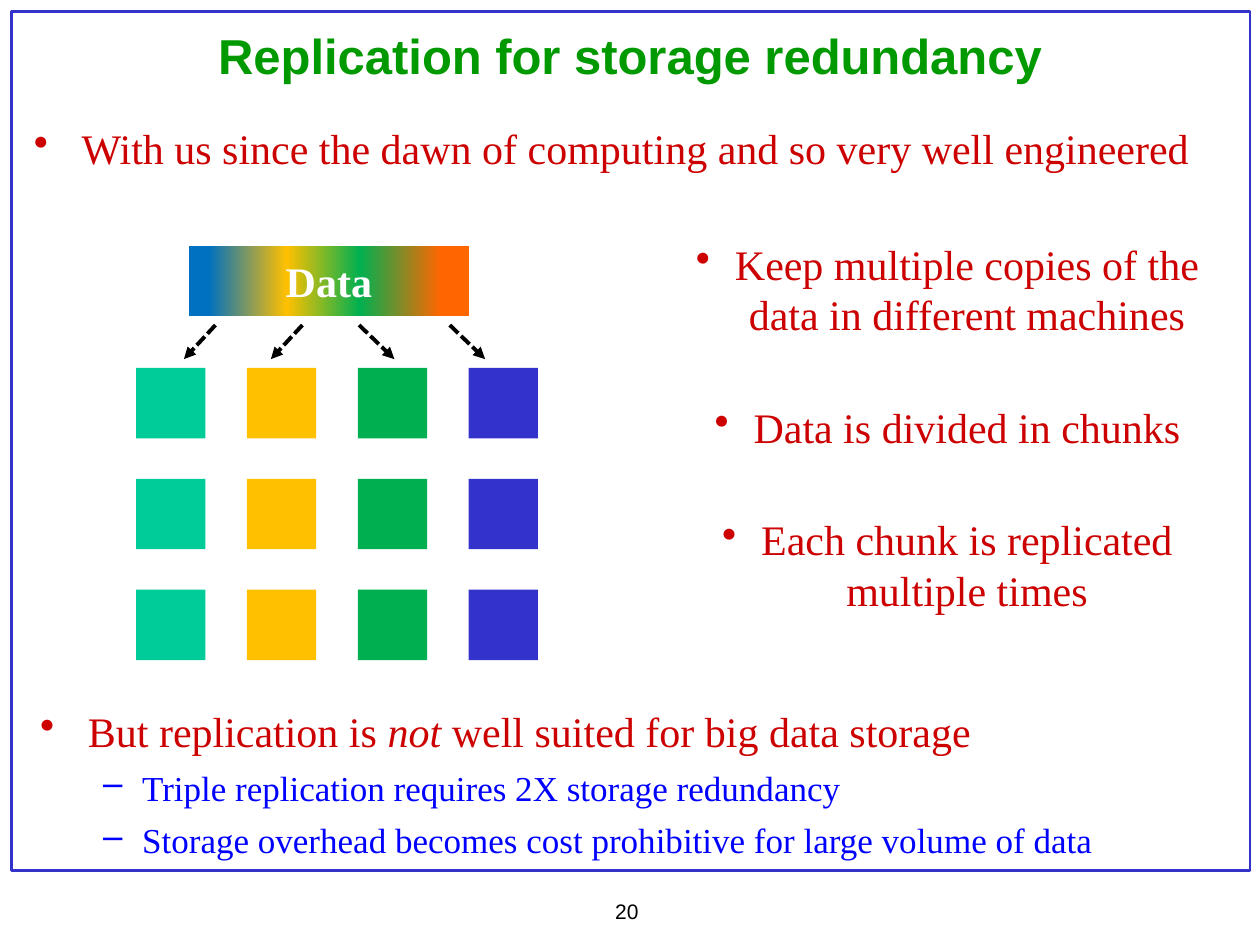
from lxml import etree
from pptx import Presentation
from pptx.dml.color import RGBColor
from pptx.enum.dml import MSO_LINE
from pptx.enum.shapes import MSO_CONNECTOR, MSO_SHAPE
from pptx.enum.text import MSO_ANCHOR, PP_ALIGN
from pptx.oxml.ns import qn
from pptx.util import Inches, Pt

RECT, STRAIGHT, DASH = MSO_SHAPE.RECTANGLE, MSO_CONNECTOR.STRAIGHT, MSO_LINE.SQUARE_DOT
LEFT, CENTER, MIDDLE = PP_ALIGN.LEFT, PP_ALIGN.CENTER, MSO_ANCHOR.MIDDLE

COLORS = {
    "frame": "3333CC", "title": "009900", "point": "CC0000", "detail": "0000FF",
    "black": "000000", "white": "FFFFFF",
}
STYLES = {
    "title": {"name": "Arial", "size": Pt(28), "bold": True},
    "number": {"name": "Arial", "size": Pt(12)},
    "point": {"name": "Times New Roman", "size": Pt(24)},
    "detail": {"name": "Times New Roman", "size": Pt(20)},
    "data": {"name": "Times New Roman", "size": Pt(24), "bold": True},
}
STYLE_COLORS = {"title": "title", "number": "black", "point": "point",
                "detail": "detail", "data": "white"}
# bullet sign, text indent, hanging width
MAIN, SUB, SIDE = ("•", 0.38, 0.38), ("–", 0.81, 0.31), ("•", 0.31, 0.31)

# box, then paragraphs: runs (text, italic), style, alignment, bullet
TEXTS = [
    ((4.38, 7.08, 1.19, 0.3), [([("20", False)], "number", CENTER, None)]),
    ((0, 0.15, 10, 0.57),
     [([("Replication for storage redundancy", False)], "title", CENTER, None)]),
    ((0.17, 0.92, 9.56, 0.62),
     [([("With us since the dawn of computing and so very well engineered", False)],
       "point", LEFT, MAIN)]),
    ((0.22, 5.55, 9.56, 1.27), [
        ([("But replication is ", False), ("not", True),
          (" well suited for big data storage", False)], "point", LEFT, MAIN),
        ([("Triple replication requires 2X storage redundancy", False)],
         "detail", LEFT, SUB),
        ([("Storage overhead becomes cost prohibitive for large volume of data", False)],
         "detail", LEFT, SUB),
    ]),
]
SIDE_NOTES = [  # top, height, text
    (1.84, 0.91, "Keep multiple copies of the data in different machines"),
    (3.14, 0.5, "Data is divided in chunks"),
    (4.03, 0.91, "Each chunk is replicated multiple times"),
]
TEXTS += [((5.34, top, 4.36, height), [([(text, False)], "point", CENTER, SIDE)])
          for top, height, text in SIDE_NOTES]

DATA_STOPS = [(7, "0070C0"), (35, "FFC000"), (61, "00B050"), (90, "FF6600")]
CHUNK_COLORS = ["00CC99", "FFC000", "00B050", "3333CC"]
COPIES = 3
CHUNK_LEFT, CHUNK_TOP, CHUNK_W, CHUNK_H, CHUNK_STEP = 1.08, 2.92, 0.55, 0.56, 0.88
ARROW_TOP, ARROW_BOTTOM = 2.58, 2.85
ARROWS = [(1.71, 1.46), (2.4, 2.15), (2.85, 3.13), (3.57, 3.85)]  # start x, end x


def rgb(value):
    return RGBColor.from_string(value)


def add_paragraph(p, runs, style, align, bullet):
    p.alignment = align
    if bullet:
        sign, indent, hanging = bullet
        pPr = p._p.get_or_add_pPr()
        pPr.set("marL", str(Inches(indent)))
        pPr.set("indent", str(-Inches(hanging)))
        etree.SubElement(pPr, qn("a:buChar")).set("char", sign)
    for text, italic in runs:
        r = p.add_run()
        r.text = text
        for key, value in STYLES[style].items():
            setattr(r.font, key, value)
        r.font.color.rgb = rgb(COLORS[STYLE_COLORS[style]])
        if italic:
            r.font.italic = True


def add_text(s, box, paragraphs):
    tf = s.shapes.add_textbox(*map(Inches, box)).text_frame
    tf.word_wrap = True
    for i, paragraph in enumerate(paragraphs):
        p = tf.add_paragraph() if i else tf.paragraphs[0]
        if i:
            p.space_before = Pt(6)
            p.level = 1
        add_paragraph(p, *paragraph)


def add_rect(s, box, fill=None):
    """Add a rectangle without outline or shadow."""
    sp = s.shapes.add_shape(RECT, *map(Inches, box))
    sp.shadow.inherit = False
    sp.line.fill.background()
    if fill:
        sp.fill.solid()
        sp.fill.fore_color.rgb = rgb(fill)
    else:
        sp.fill.background()
    return sp


def add_data_bar(s):
    sp = add_rect(s, (1.5, 1.95, 2.22, 0.56))
    sp.fill.gradient()
    sp.fill.gradient_angle = 0
    stops = sp._element.spPr.find(".//" + qn("a:gsLst"))
    for old in list(stops):
        stops.remove(old)
    for percent, color in DATA_STOPS:
        stop = etree.SubElement(stops, qn("a:gs"), pos=str(percent * 1000))
        etree.SubElement(stop, qn("a:srgbClr"), val=color)
    sp.text_frame.vertical_anchor = MIDDLE
    add_paragraph(sp.text_frame.paragraphs[0], [("Data", False)], "data", CENTER, None)


def add_arrow(s, start, end):
    line = s.shapes.add_connector(STRAIGHT, Inches(start), Inches(ARROW_TOP),
                                  Inches(end), Inches(ARROW_BOTTOM))
    line.line.color.rgb = rgb(COLORS["black"])
    line.line.width = Pt(2.25)
    line.line.dash_style = DASH
    etree.SubElement(line.line._get_or_add_ln(), qn("a:tailEnd"), type="triangle")
    etree.SubElement(line._element.spPr, qn("a:effectLst"))


def main():
    prs = Presentation()
    prs.slide_width, prs.slide_height = Inches(10), Inches(7.5)
    s = prs.slides.add_slide(prs.slide_layouts[6])

    frame = add_rect(s, (0.09, 0.09, 9.83, 6.82))
    frame.line.color.rgb = rgb(COLORS["frame"])
    frame.line.width = Pt(1.5)

    add_data_bar(s)
    for row in range(COPIES):
        for col, color in enumerate(CHUNK_COLORS):
            add_rect(s, (CHUNK_LEFT + col * CHUNK_STEP, CHUNK_TOP + row * CHUNK_STEP,
                         CHUNK_W, CHUNK_H), color)
    for start, end in ARROWS:
        add_arrow(s, start, end)
    for box, paragraphs in TEXTS:
        add_text(s, box, paragraphs)

    prs.save("out.pptx")


if __name__ == "__main__":
    main()
